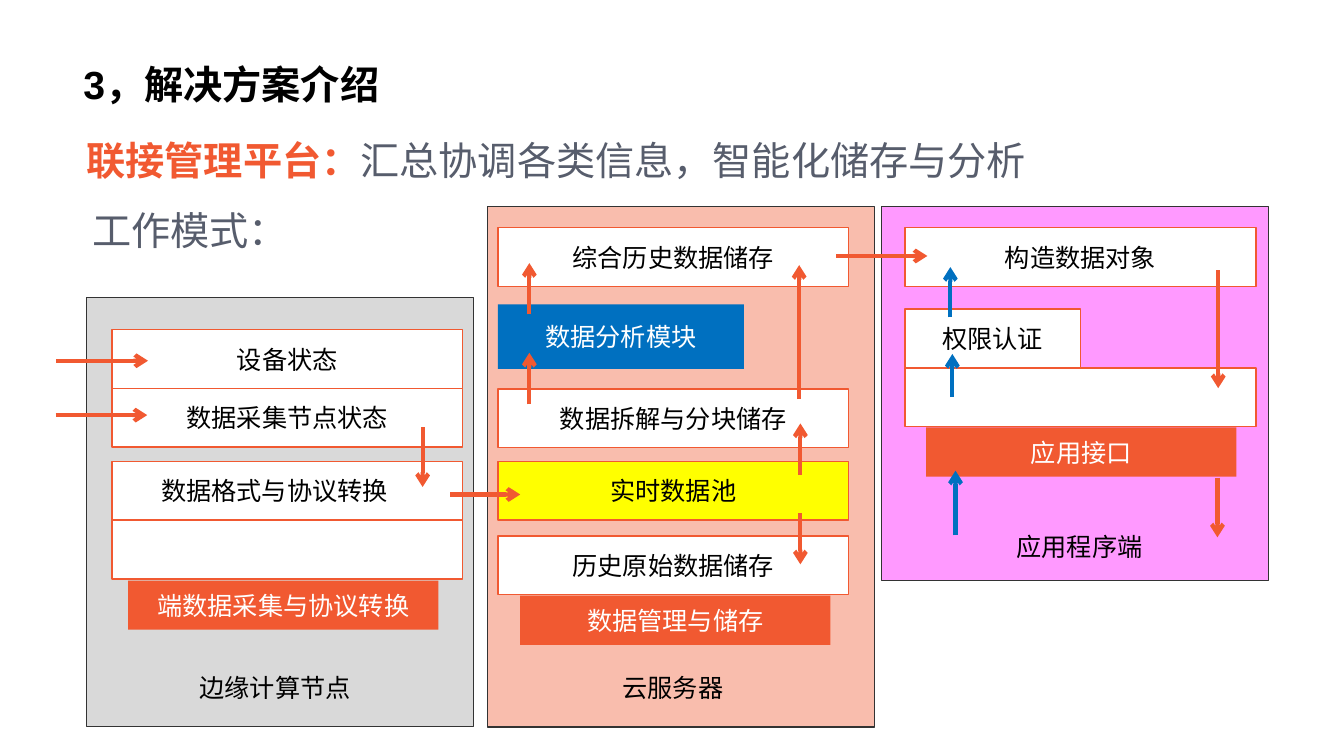
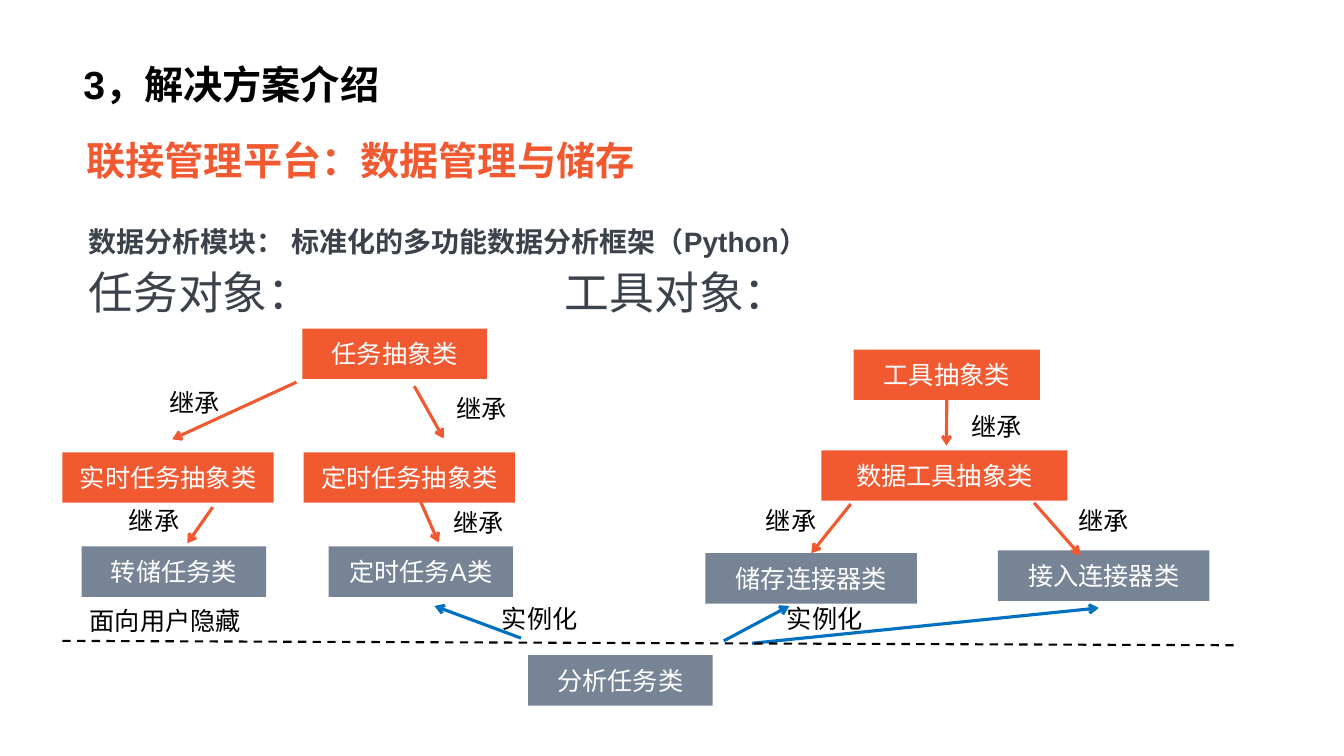
from lxml import etree
from pptx import Presentation
from pptx.dml.color import RGBColor
from pptx.enum.dml import MSO_LINE
from pptx.enum.shapes import MSO_CONNECTOR, MSO_SHAPE
from pptx.enum.text import MSO_ANCHOR, MSO_AUTO_SIZE, PP_ALIGN
from pptx.oxml.ns import qn
from pptx.util import Cm, Pt

BLACK = RGBColor(0x00, 0x00, 0x00)
WHITE = RGBColor(0xFF, 0xFF, 0xFF)
ORANGE = RGBColor(0xF1, 0x59, 0x31)
BLUE = RGBColor(0x00, 0x70, 0xC0)
SLATE = RGBColor(0x77, 0x84, 0x95)
GREY = RGBColor(0x57, 0x5D, 0x6C)
INK = RGBColor(0x3B, 0x42, 0x4B)
EDGE = RGBColor(0x33, 0x33, 0x33)
SILVER = RGBColor(0xD9, 0xD9, 0xD9)
PEACH = RGBColor(0xF9, 0xBD, 0xAD)
PINK = RGBColor(0xFF, 0x99, 0xFF)
YELLOW = RGBColor(0xFF, 0xFF, 0x00)

LATIN, HAN = "Arial", "Noto Sans CJK SC"
DASH = MSO_LINE.DASH
STRAIGHT = MSO_CONNECTOR.STRAIGHT
RECT = MSO_SHAPE.RECTANGLE
TOP, MIDDLE = MSO_ANCHOR.TOP, MSO_ANCHOR.MIDDLE
FIXED = MSO_AUTO_SIZE.NONE
LEFT, CENTER = PP_ALIGN.LEFT, PP_ALIGN.CENTER
UP, DOWN = 0, 2
TITLE_ONLY = 5

ROW_W, ROW_H = 8.84, 1.48
NODE_H = 1.27


class Deck:
    """Holds the shared style and the current slide."""

    def __init__(self):
        self.prs = Presentation()
        self.prs.slide_width, self.prs.slide_height = Cm(33.87), Cm(19.05)
        self.shapes = None

    def style(self, font, size, color, bold=False, name=LATIN):
        font.size, font.bold, font.name = Pt(size), bold, name
        font.color.rgb = color
        etree.SubElement(font._rPr, qn("a:ea")).set("typeface", HAN)

    def page(self, title, lead):
        slide = self.prs.slides.add_slide(self.prs.slide_layouts[TITLE_ONLY])
        self.shapes = slide.shapes
        head = self.shapes.title
        head.left, head.top, head.width, head.height = Cm(1.85), Cm(1.52), Cm(30.15), Cm(2.84)
        frame = head.text_frame
        frame.text = title
        frame.auto_size, frame.vertical_anchor = FIXED, TOP
        para = frame.paragraphs[0]
        para.alignment, para.line_spacing = LEFT, 0.9
        self.style(para.font, 28, BLACK, bold=True)
        return self.text(1.93, 3.3, lead, 26.42, 28, ORANGE, bold=True)

    def text(self, x, y, words, width=4.83, size=18, color=BLACK, **look):
        box = self.shapes.add_textbox(Cm(x), Cm(y), Cm(width), Cm(size * 0.057))
        box.text_frame.word_wrap = True
        para = box.text_frame.paragraphs[0]
        para.text = words
        self.style(para.font, size, color, **look)
        return para

    def rect(self, x, y, width, height, fill, words="", color=WHITE, line=None):
        box = self.shapes.add_shape(RECT, Cm(x), Cm(y), Cm(width), Cm(height))
        box.shadow.inherit = False
        box.fill.solid()
        box.fill.fore_color.rgb = fill
        if line is None:
            box.line.fill.background()
        else:
            box.line.color.rgb, box.line.width = line, Pt(1)
        if words:
            frame = box.text_frame
            frame.text = words
            frame.vertical_anchor = MIDDLE
            para = frame.paragraphs[0]
            para.alignment = CENTER
            self.style(para.font, 18, color)
        return box

    def row(self, x, y, words="", width=ROW_W, fill=WHITE):
        return self.rect(x, y, width, ROW_H, fill, words, BLACK, ORANGE)

    def badge(self, x, y, words):
        return self.rect(x, y, 7.82, 1.24, ORANGE, words)

    def node(self, x, y, width, words, fill=ORANGE):
        return self.rect(x, y, width, NODE_H, fill, words)

    def line(self, x1, y1, x2, y2, color, width):
        link = self.shapes.add_connector(STRAIGHT, Cm(x1), Cm(y1), Cm(x2), Cm(y2))
        link.line.color.rgb, link.line.width = color, Pt(width)
        etree.SubElement(link._element.spPr, qn("a:effectLst"))
        return link

    def arrow(self, x1, y1, x2, y2, color=ORANGE, width=2.25):
        link = self.line(x1, y1, x2, y2, color, width)
        etree.SubElement(link.line._get_or_add_ln(), qn("a:tailEnd")).set("type", "arrow")
        return link


def draw_modes(deck):
    """Draw the working mode of edge, cloud and application."""
    lead = deck.page("3，解决方案介绍", "")
    for words, color, bold, name in (
        ("联接管理平台：", ORANGE, True, LATIN),
        ("汇总协调各类信息，智能化储存与分析", GREY, False, HAN),
    ):
        run = lead.add_run()
        run.text = words
        deck.style(run.font, 28, color, bold, name)
    deck.text(2.08, 5.08, "工作模式：", 9, 28, GREY, name="Calibri")

    for x, y, height, fill in (
        (22.22, 5.21, 9.42, PINK),
        (2.18, 7.49, 10.82, SILVER),
        (12.29, 5.21, 13.11, PEACH),
    ):
        deck.rect(x, y, 9.75, height, fill, line=EDGE)

    edge, cloud, app = 2.82, 12.55, 22.81
    deck.row(edge, 11.63 + ROW_H)
    form = deck.row(edge, 11.63, "数据格式与协议转换")
    form.text_frame.margin_right = Cm(0.89)
    deck.row(edge, 8.31 + ROW_H, "数据采集节点状态")
    deck.row(edge, 8.31, "设备状态")

    deck.row(cloud, 13.51, "历史原始数据储存")
    deck.row(cloud, 11.63, "实时数据池", fill=YELLOW)
    deck.row(cloud, 9.8, "数据拆解与分块储存")
    deck.row(cloud, 5.74, "综合历史数据储存")
    deck.rect(cloud, 7.67, 6.2, 1.63, BLUE, "数据分析模块")

    deck.row(app, 7.79 + ROW_H)
    deck.row(app, 7.79, "权限认证", ROW_W / 2)
    deck.row(app, 5.74, "构造数据对象")

    deck.badge(3.23, 14.63, "端数据采集与协议转换")
    deck.badge(13.11, 15.01, "数据管理与储存")
    deck.badge(23.34, 10.77, "应用接口")

    for x1, x2, y in (
        (1.42, 3.73, 9.09), (1.4, 3.71, 10.46),
        (11.35, 13.11, 12.46), (21.08, 23.37, 6.45),
    ):
        deck.arrow(x1, y, x2, y, width=3)
    for x, y1, y2, color in (
        (10.65, 10.77, 12.27, ORANGE),
        (20.17, 12.93, 14.22, ORANGE),
        (20.17, 11.96, 10.67, ORANGE),
        (13.34, 10.19, 8.89, ORANGE),
        (13.34, 7.92, 6.63, ORANGE),
        (20.14, 10.06, 6.68, ORANGE),
        (30.7, 6.81, 9.78, ORANGE),
        (30.68, 12.04, 13.54, ORANGE),
        (24.08, 13.49, 11.86, BLUE),
        (24, 10.01, 8.92, BLUE),
        (23.95, 8, 6.73, BLUE),
    ):
        deck.arrow(x, y1, x, y2, color, 3)

    deck.text(4.78, 16.81, "边缘计算节点")
    deck.text(15.44, 16.81, "云服务器")
    deck.text(25.37, 13.26, "应用程序端")


def draw_tree(deck):
    """Draw the class trees of tasks and tools."""
    deck.page("3，解决方案介绍", "联接管理平台：数据管理与储存")
    deck.text(1.98, 5.54, "数据分析模块： 标准化的多功能数据分析框架（Python）", 29, 20, INK, bold=True)
    deck.text(1.98, 6.55, "任务对象：", 10, 32, INK)
    deck.text(13.98, 6.55, "工具对象：", 10, 32, INK)

    deck.node(7.62, 8.28, 4.65, "任务抽象类")
    deck.node(1.57, 11.4, 5.33, "实时任务抽象类")
    deck.node(7.65, 11.4, 5.33, "定时任务抽象类")
    deck.node(2.06, 13.77, 4.65, "转储任务类", SLATE)
    deck.node(8.28, 13.77, 4.65, "定时任务A类", SLATE)
    deck.node(13.31, 16.51, 4.65, "分析任务类", SLATE)
    tool = deck.node(21.51, 8.81, 4.7, "工具抽象类")
    deck.node(20.7, 11.35, 6.2, "数据工具抽象类")
    store = deck.node(17.78, 13.94, 5.33, "储存连接器类", SLATE)
    deck.node(25.15, 13.87, 5.33, "接入连接器类", SLATE)

    for ends in (
        (7.47, 9.63, 4.34, 11.07),
        (10.44, 9.73, 11.18, 11.05),
        (5.36, 12.78, 4.72, 13.69),
        (10.59, 12.62, 11.05, 13.67),
        (26.06, 12.67, 27.23, 14),
    ):
        deck.arrow(*ends)
    deck.arrow(23.86, 10.08, 23.85, 11.23).begin_connect(tool, DOWN)
    deck.arrow(21.44, 12.7, 20.45, 13.94).end_connect(store, UP)
    for ends in (
        (13.13, 16.08, 10.95, 15.27),
        (18.24, 16.15, 19.89, 15.27),
        (18.95, 16.21, 27.69, 15.32),
    ):
        deck.arrow(*ends, BLUE)
    deck.line(1.57, 16.15, 31.19, 16.26, BLACK, 1.5).line.dash_style = DASH

    for x, y in (
        (4.01, 9.63), (11.25, 9.78), (24.23, 10.24), (19.05, 12.6),
        (26.92, 12.6), (11.18, 12.67), (3, 12.62),
    ):
        deck.text(x, y, "继承", 2.26)
    for x in (12.4, 19.58):
        deck.text(x, 15.09, "实例化", 3.2)
    deck.text(2.01, 15.14, "面向用户隐藏", 4.98)


def main():
    """Build and save both slides."""
    deck = Deck()
    draw_modes(deck)
    draw_tree(deck)
    deck.prs.save("out.pptx")


if __name__ == "__main__":
    main()
